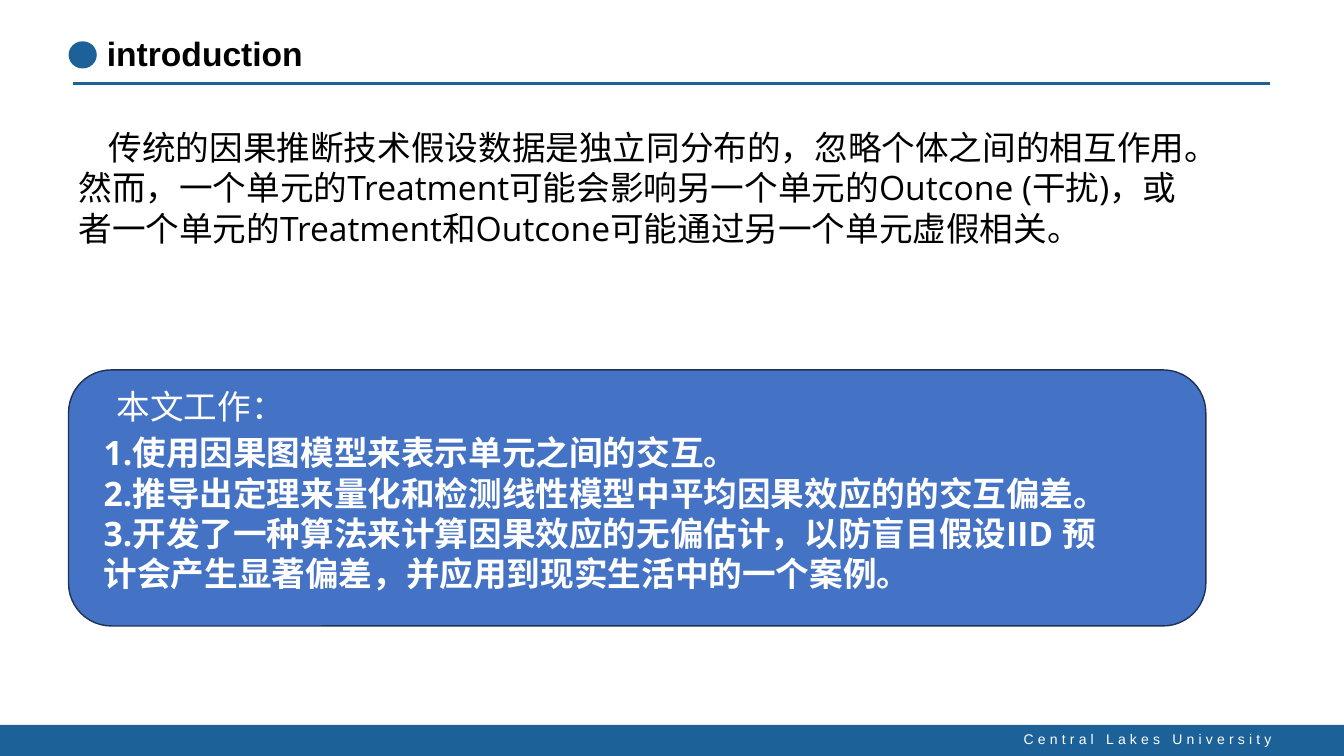
from pptx import Presentation
from pptx.dml.color import RGBColor
from pptx.enum.shapes import MSO_CONNECTOR, MSO_SHAPE
from pptx.enum.text import MSO_ANCHOR, PP_ALIGN
from pptx.oxml.ns import qn
from pptx.util import Inches, Pt
from lxml.etree import SubElement

BLUE, PANEL_BLUE, PANEL_EDGE = "1C6299", "4472C4", "1E3256"
BLACK, WHITE = "000000", "FFFFFF"

BODY = ("传统的因果推断技术假设数据是独立同分布的，忽略个体之间的相互作用。"
        "然而，一个单元的Treatment可能会影响另一个单元的Outcone (干扰)，"
        "或者一个单元的Treatment和Outcone可能通过另一个单元虚假相关。")
WORK_HEADING = "本文工作："
WORK_ITEMS = [
    "1.使用因果图模型来表示单元之间的交互。",
    "2.推导出定理来量化和检测线性模型中平均因果效应的的交互偏差。",
    "3.开发了一种算法来计算因果效应的无偏估计，以防盲目假设IID "
    "预计会产生显著偏差，并应用到现实生活中的一个案例。",
]


def color(value):
    """Turn a hex string into a colour."""
    return RGBColor.from_string(value)


def add_block(slide, kind, box, fill, edge=None):
    """Add a flat preset shape in box (left, top, width, height)."""
    shape = slide.shapes.add_shape(kind, *map(Inches, box))
    shape.shadow.inherit = False
    shape.fill.solid()
    shape.fill.fore_color.rgb = color(fill)
    if edge:
        shape.line.color.rgb = color(edge)
        shape.line.width = Pt(1)
    else:
        shape.line.fill.background()
    return shape


def style(paragraph, size, fill, font="Arial", bold=False):
    """Set the font of a whole paragraph."""
    paragraph.font.size = Pt(size)
    paragraph.font.name = font
    paragraph.font.bold = bold
    paragraph.font.color.rgb = color(fill)


def add_chinese(slide, box, texts, fill, bold=False, indent=0):
    """Add a wrapped text box of mixed Chinese and Latin paragraphs."""
    frame = slide.shapes.add_textbox(*map(Inches, box)).text_frame
    frame.word_wrap = True
    frame.text = "\n".join(texts)
    for paragraph in frame.paragraphs:
        style(paragraph, 24, fill, "Open Sans", bold)
        paragraph.line_spacing = Pt(28.8)
        properties = paragraph._p.get_or_add_pPr()
        properties.set("indent", str(Inches(indent)))
        for run in paragraph.runs:
            run_properties = run._r.get_or_add_rPr()
            run_properties.set("lang", "zh-CN")
            SubElement(run_properties, qn("a:ea"), typeface="Noto Sans CJK SC")


def add_header(slide, left, top, width):
    """Place the dot, the title and the rule under them."""
    add_block(slide, MSO_SHAPE.OVAL, (left, top + 0.41, 0.28, 0.27), BLUE)
    title = slide.shapes.title
    title.left, title.top = Inches(left + 0.38), Inches(top - 0.11)
    title.width, title.height = Inches(9.58), Inches(0.89)
    frame = title.text_frame
    frame.text = "introduction"
    frame.vertical_anchor = MSO_ANCHOR.BOTTOM
    frame.margin_left = 0
    paragraph = frame.paragraphs[0]
    paragraph.alignment = PP_ALIGN.LEFT
    paragraph.line_spacing = 0.9
    style(paragraph, 24, BLACK, bold=True)

    rule_y = Inches(top + 0.83)
    rule = slide.shapes.add_connector(
        MSO_CONNECTOR.STRAIGHT, Inches(left + 0.04), rule_y,
        Inches(left + width), rule_y)
    rule.line.color.rgb = color(BLUE)
    rule.line.width = Pt(1.75)
    SubElement(rule._element.spPr, qn("a:effectLst"))


def add_work_panel(slide, left, top, width, height):
    """Place the rounded panel with its heading and numbered items."""
    add_block(slide, MSO_SHAPE.ROUNDED_RECTANGLE, (left, top, width, height),
              PANEL_BLUE, PANEL_EDGE)
    add_chinese(slide, (left + 0.38, top + 0.11, 6.67, 0.5),
                [WORK_HEADING], WHITE)
    add_chinese(slide, (left + 0.25, top + 0.57, 10.17, 1.72),
                WORK_ITEMS, WHITE, bold=True)


def add_footer(slide, left, top, width, height):
    """Place the bottom band and the spaced university name."""
    add_block(slide, MSO_SHAPE.RECTANGLE, (left, top, width, height), BLUE)
    box = (left + width - 3.34, top + 0.01, 2.72, 0.27)
    frame = slide.shapes.add_textbox(*map(Inches, box)).text_frame
    frame.word_wrap = False
    frame.text = "Central Lakes University"
    paragraph = frame.paragraphs[0]
    paragraph.alignment = PP_ALIGN.RIGHT
    style(paragraph, 10, WHITE)
    paragraph.runs[0]._r.get_or_add_rPr().set("spc", "300")


def build_introduction(presentation):
    """Build the introduction slide."""
    slide = presentation.slides.add_slide(presentation.slide_layouts[5])
    add_header(slide, 0.68, 0, 11.92)
    add_footer(slide, 0, 7.19, 13.33, 0.31)
    add_chinese(slide, (0.68, 1.21, 11.28, 1.31), [BODY], BLACK, indent=0.3)
    add_work_panel(slide, 0.68, 3.67, 11.28, 2.54)


presentation = Presentation()
presentation.slide_width = Inches(13.33)
presentation.slide_height = Inches(7.5)
build_introduction(presentation)
presentation.save("out.pptx")
